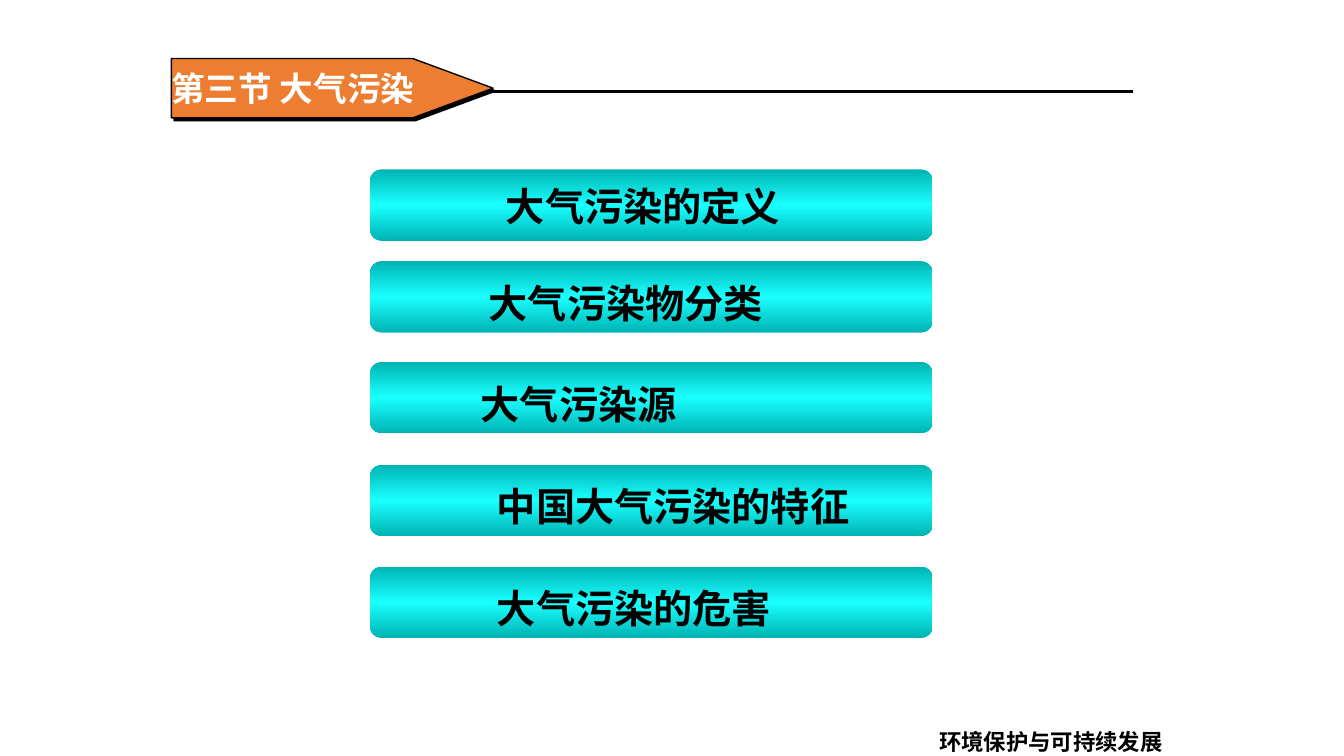
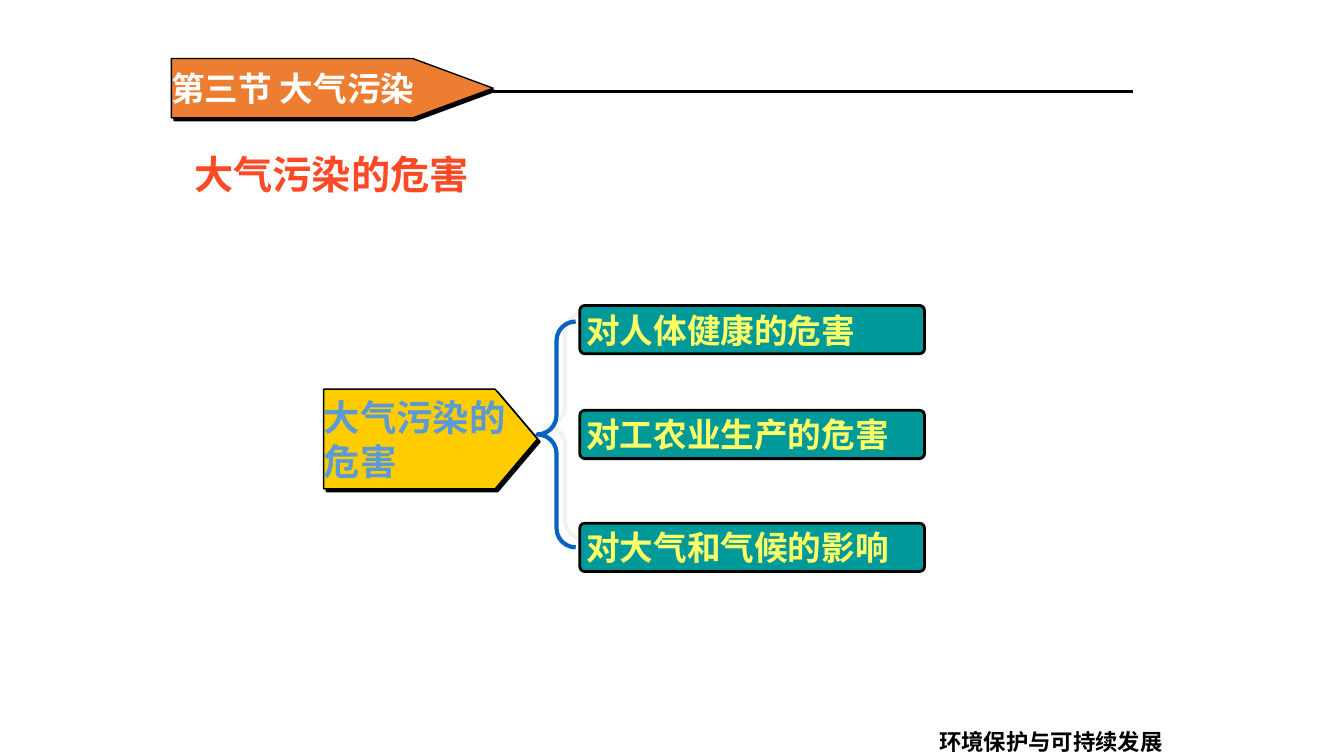
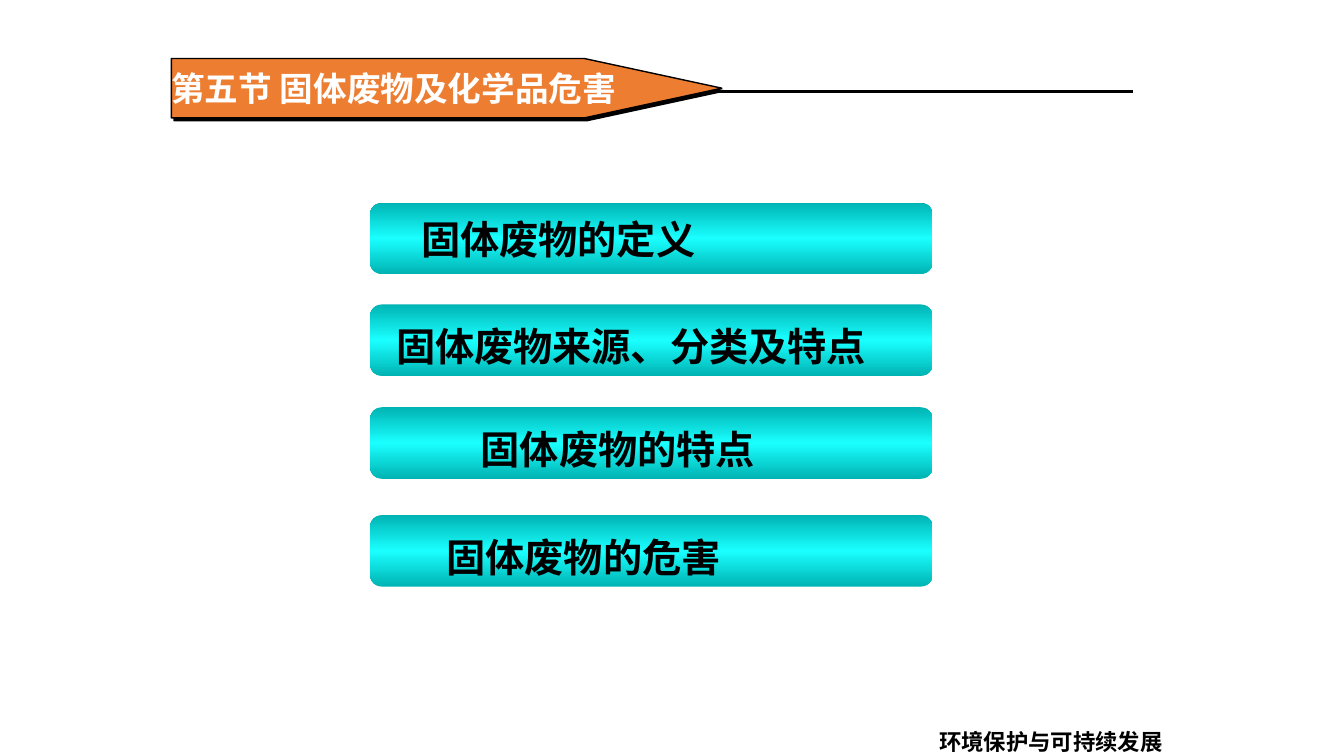
from lxml.etree import SubElement as Sub
from pptx import Presentation
from pptx.dml.color import RGBColor
from pptx.enum.shapes import MSO_CONNECTOR as Conn, MSO_SHAPE as Geo
from pptx.enum.text import MSO_ANCHOR as Anchor, MSO_AUTO_SIZE as Auto, PP_ALIGN as Align
from pptx.oxml.ns import qn
from pptx.util import Inches, Pt

SANS = "Noto Sans CJK SC"
BLACK, WHITE, ORANGE, RED = "000000", "FFFFFF", "ED7D31", "FC4A26"
GOLD, BLUE, NAVY, GRAY = "FFCC00", "5B9BD5", "0563C1", "E7E6E6"
TEAL, LEMON = "009999", "FFFF66"
GLOSS = [(0, "00B3B3"), (50, "1AFFFF"), (100, "00B3B3")]

FOOTER = "环境保护与可持续发展"
AIR = ("第三节 大气污染", 3.19)
WASTE = ("第五节 固体废物及化学品危害", 5.46)

# Bar top, label left, label width, label
AIR_MENU = [
    (1.68, 4.92, 3.67, "大气污染的定义"),
    (2.59, 4.75, 3.89, "大气污染物分类"),
    (3.59, 4.67, 3.77, "大气污染源"),
    (4.61, 4.83, 3.74, "中国大气污染的特征"),
    (5.62, 4.83, 3.58, "大气污染的危害"),
]
WASTE_MENU = [
    (2.01, 4.08, 4.83, "固体废物的定义"),
    (3.02, 3.83, 5.17, "固体废物来源、分类及特点"),
    (4.04, 4.67, 3.77, "固体废物的特点"),
    (5.11, 4.33, 4.42, "固体废物的危害"),
]
HARM = "大气污染的危害"
HARMS = [
    (3.03, "对人体健康的危害"),
    (4.07, "对工农业生产的危害"),
    (5.19, "对大气和气候的影响"),
]


def color(code):
    return RGBColor.from_string(code)


def place(box):
    return [Inches(v) for v in box]


def write(shape, text, size, code, face=SANS, inset=None, align=Align.LEFT):
    """Fill the shape's frame with one bold run; inset is the side margin."""
    frame = shape.text_frame
    frame.word_wrap = True
    if inset is not None:
        frame.margin_left = frame.margin_right = Inches(inset)
    para = frame.paragraphs[0]
    para.alignment = align
    run = para.add_run()
    run.text = text
    font = run.font
    font.size, font.bold, font.name = Pt(size), True, face
    font.color.rgb = color(code)
    Sub(run._r.get_or_add_rPr(), qn("a:ea"), typeface=face)
    return frame


def draw(slide, geo, box, fill=None, line=None, width=1, adjust=()):
    shape = slide.shapes.add_shape(geo, *place(box))
    shape.shadow.inherit = False
    for i, value in enumerate(adjust):
        shape.adjustments[i] = value
    if fill:
        shape.fill.solid()
        shape.fill.fore_color.rgb = color(fill)
    else:
        shape.fill.background()
    if line:
        shape.line.color.rgb = color(line)
        shape.line.width = Pt(width)
    else:
        shape.line.fill.background()
    return shape


def shade(shape, code, alpha, dist, angle):
    """Add a hard shadow: alpha in percent, dist in points, angle in degrees."""
    effects = shape._element.spPr.find(qn("a:effectLst"))
    outer = Sub(effects, qn("a:outerShdw"), dist=str(Pt(dist)),
                dir=str(angle * 60000), algn="ctr", rotWithShape="0")
    tint = Sub(outer, qn("a:srgbClr"), val=code)
    Sub(tint, qn("a:alpha"), val=str(alpha * 1000))


def gloss(shape):
    shape.fill.gradient()
    shape.fill.gradient_angle = 90
    stops = next(shape._element.spPr.iter(qn("a:gsLst")))
    for stop in list(stops):
        stops.remove(stop)
    for pos, code in GLOSS:
        stop = Sub(stops, qn("a:gs"), pos=str(pos * 1000))
        Sub(stop, qn("a:srgbClr"), val=code)


def plate(slide, box, fill, tip, text, size, code, face=SANS):
    """Draw a shadowed pentagon arrow whose point is tip inches long."""
    shape = draw(slide, Geo.PENTAGON, box, fill, BLACK, adjust=[tip / box[3]])
    shade(shape, BLACK, 100, 2.8, 45)
    write(shape, text, size, code, face, 0).vertical_anchor = Anchor.MIDDLE


def label(slide, left, top, width, text, code=BLACK):
    box = slide.shapes.add_textbox(*place((left, top, width, 0.81)))
    frame = write(box, text, 28, code)
    frame.vertical_anchor = Anchor.MIDDLE
    frame.auto_size = Auto.SHAPE_TO_FIT_TEXT
    frame.paragraphs[0].line_spacing = 1.5


def start(deck, title, width):
    """Add a slide with the rule, the footer and the section plate."""
    slide = deck.slides.add_slide(deck.slide_layouts[6])
    rule = slide.shapes.add_connector(
        Conn.STRAIGHT, *place((2.09, 0.91, 11.24, 0.91)))
    rule.line.color.rgb = color(BLACK)
    rule.line.width = Pt(2.25)
    Sub(rule._element.spPr, qn("a:effectLst"))
    foot = slide.shapes.add_textbox(*place((8.46, 7.17, 3.17, 0.33)))
    write(foot, FOOTER, 16, BLACK, "DejaVu Sans", align=Align.RIGHT)
    plate(slide, (1.7, 0.58, width, 0.59), ORANGE, width / 4, title, 24, WHITE)
    return slide


def menu(deck, head, rows):
    slide = start(deck, *head)
    for i, (top, left, width, text) in enumerate(rows):
        gloss(draw(slide, Geo.ROUNDED_RECTANGLE, (3.67, top, 5.58, 0.71),
                   adjust=[0.167]))
        rise = 0.11 if i else 0.16
        label(slide, left, top - rise, width, text)


def harm(deck):
    slide = start(deck, *AIR)
    label(slide, 1.83, 1.2, 3.89, HARM, RED)
    plate(slide, (3.21, 3.86, 2.12, 0.99), GOLD, 0.42, HARM, 26, BLUE, "Arial")
    brace = draw(slide, Geo.LEFT_BRACE, (5.33, 3.19, 0.38, 2.24),
                 line=NAVY, width=3, adjust=[0.498, 0.5])
    shade(brace, GRAY, 50, 8.5, 315)
    for top, text in HARMS:
        card = draw(slide, Geo.ROUNDED_RECTANGLE, (5.75, top, 3.42, 0.48),
                    TEAL, BLACK, 2, [0.106])
        write(card, text, 24, LEMON, inset=0.05).vertical_anchor = Anchor.MIDDLE


def main():
    deck = Presentation()
    deck.slide_width, deck.slide_height = Inches(13.33), Inches(7.5)
    menu(deck, AIR, AIR_MENU)
    harm(deck)
    menu(deck, WASTE, WASTE_MENU)
    deck.save("out.pptx")


if __name__ == "__main__":
    main()
